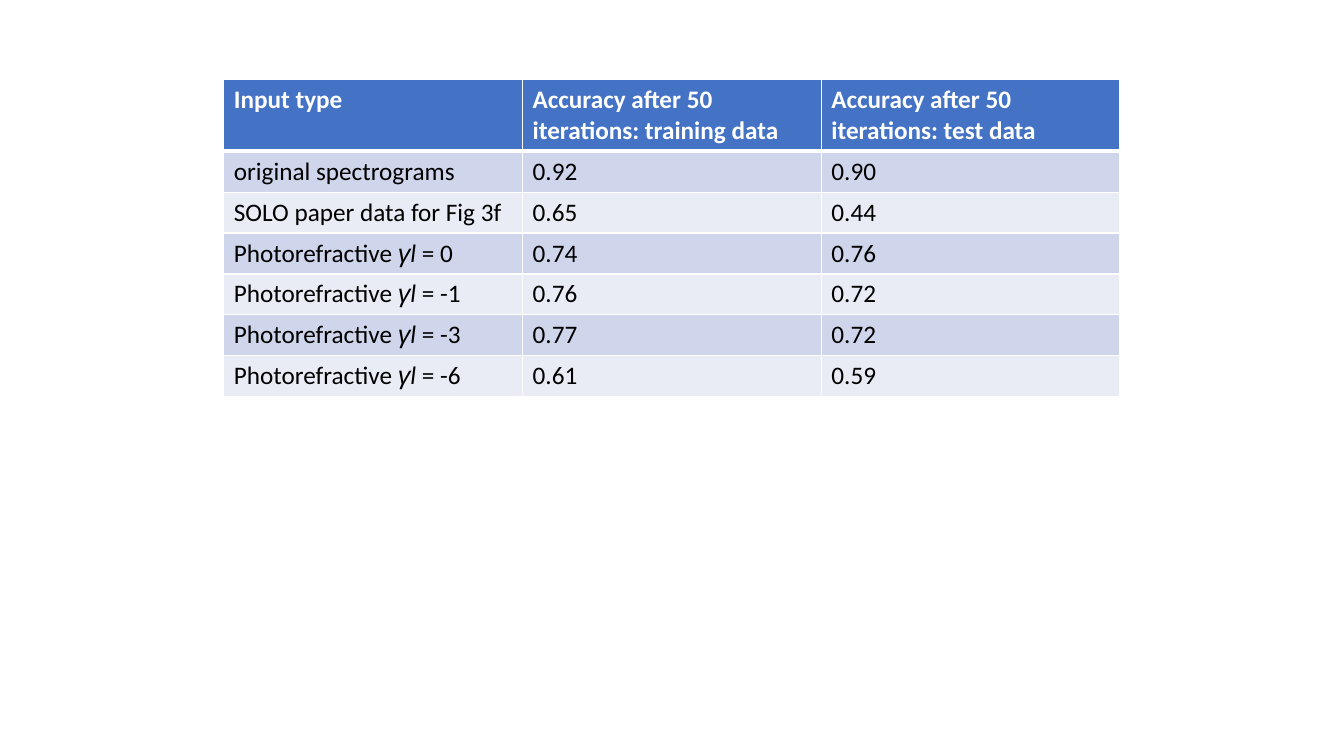
import pptx
import pptx.dml.color
import pptx.oxml
import pptx.oxml.ns
import pptx.util
from pptx.dml.color import RGBColor
from pptx.util import Inches

WHITE = RGBColor(0xFF, 0xFF, 0xFF)
BLACK = RGBColor(0x00, 0x00, 0x00)
HEADER_BLUE = RGBColor(0x44, 0x72, 0xC4)
BANDS = (RGBColor(0xCF, 0xD5, 0xEA), RGBColor(0xE9, 0xEB, 0xF5))

HEADER_HEIGHT = 0.7
HEADERS = ("Input type",
           "Accuracy after 50 iterations: training data",
           "Accuracy after 50 iterations: test data")
GAIN = "γl"
RESULTS = (
    ("original spectrograms", "0.92", "0.90"),
    ("SOLO paper data for Fig 3f", "0.65", "0.44"),
    (f"Photorefractive {GAIN} = 0", "0.74", "0.76"),
    (f"Photorefractive {GAIN} = -1", "0.76", "0.72"),
    (f"Photorefractive {GAIN} = -3", "0.77", "0.72"),
    (f"Photorefractive {GAIN} = -6", "0.61", "0.59"),
)


def set_borders(cell, top, bottom):
    """Draw white borders; top and bottom widths are in points."""
    tcPr = cell._tc.get_or_add_tcPr()
    widths = {"lnL": 1, "lnR": 1, "lnT": top, "lnB": bottom}
    for i, (tag, width) in enumerate(widths.items()):
        tcPr.insert(i, pptx.oxml.parse_xml(
            f'<a:{tag} {pptx.oxml.ns.nsdecls("a")} w="{pptx.util.Pt(width)}">'
            f'<a:solidFill><a:srgbClr val="{WHITE}"/></a:solidFill></a:{tag}>'))


def write_text(cell, text, color, bold):
    """Write the cell text, with the gain symbols in italics."""
    p = cell.text_frame.paragraphs[0]
    p.font.size = pptx.util.Pt(18)
    before, symbol, after = text.partition(GAIN)
    for part in (before, *symbol, after):
        if not part:
            continue
        r = p.add_run()
        r.text = part
        r.font.name = "Arial" if part == "γ" else "Calibri"
        r.font.bold = bold
        r.font.italic = part in ("γ", "l")
        r.font.color.rgb = color


def add_accuracy_table(s, left, top, width, height):
    rows = (HEADERS, *RESULTS)
    table = s.shapes.add_table(len(rows), len(HEADERS), Inches(left), Inches(top),
                               Inches(width), Inches(height)).table

    # Header takes two lines; results share the remaining height
    for row in table.rows:
        row.height = Inches((height - HEADER_HEIGHT) / len(RESULTS))
    table.rows[0].height = Inches(HEADER_HEIGHT)

    # Cells
    for i, texts in enumerate(rows):
        header = i == 0
        for j, text in enumerate(texts):
            cell = table.cell(i, j)
            cell.fill.solid()
            cell.fill.fore_color.rgb = HEADER_BLUE if header else BANDS[(i - 1) % 2]
            write_text(cell, text, WHITE if header else BLACK, header)
            set_borders(cell, top=3 if i == 1 else 1, bottom=3 if header else 1)


def main():
    prs = pptx.Presentation()
    prs.slide_width, prs.slide_height = Inches(13.33), Inches(7.5)
    s = prs.slides.add_slide(prs.slide_layouts[6])
    add_accuracy_table(s, 2.22, 0.79, 8.89, 3.13)
    prs.save("out.pptx")


if __name__ == "__main__":
    main()
